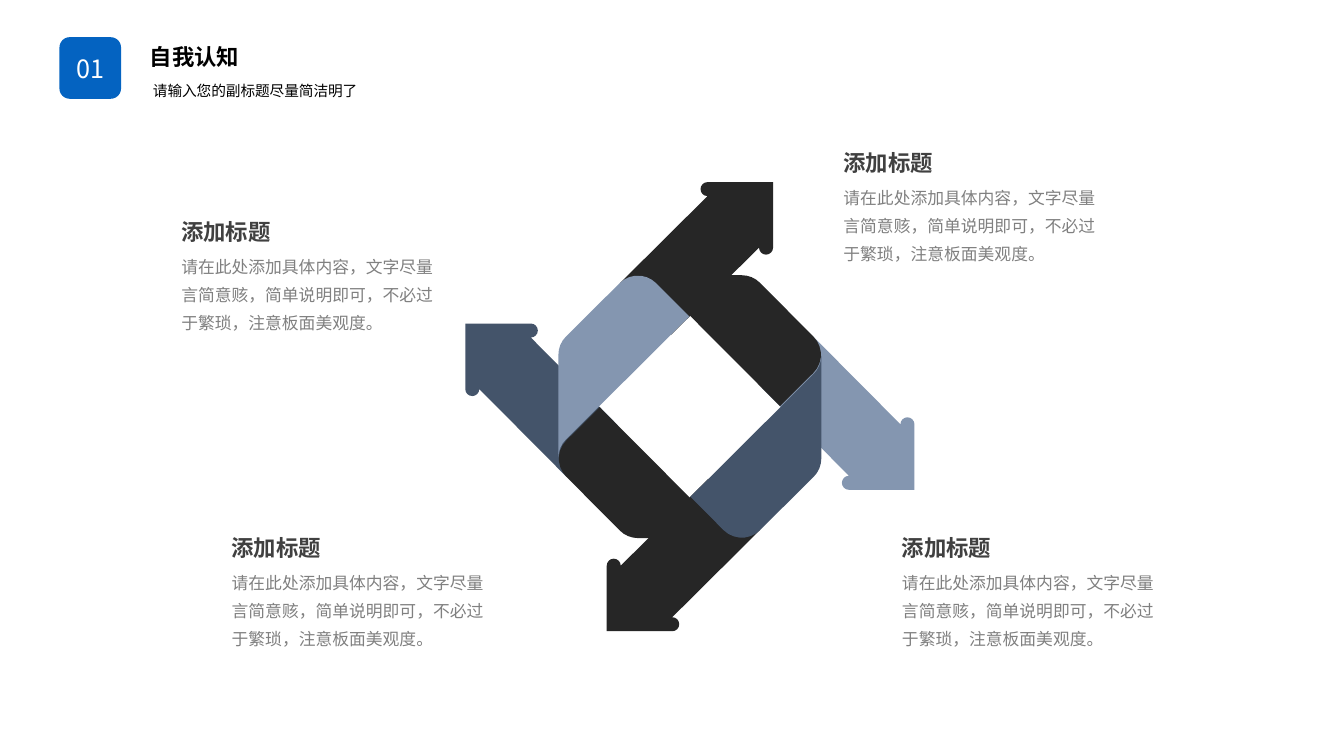
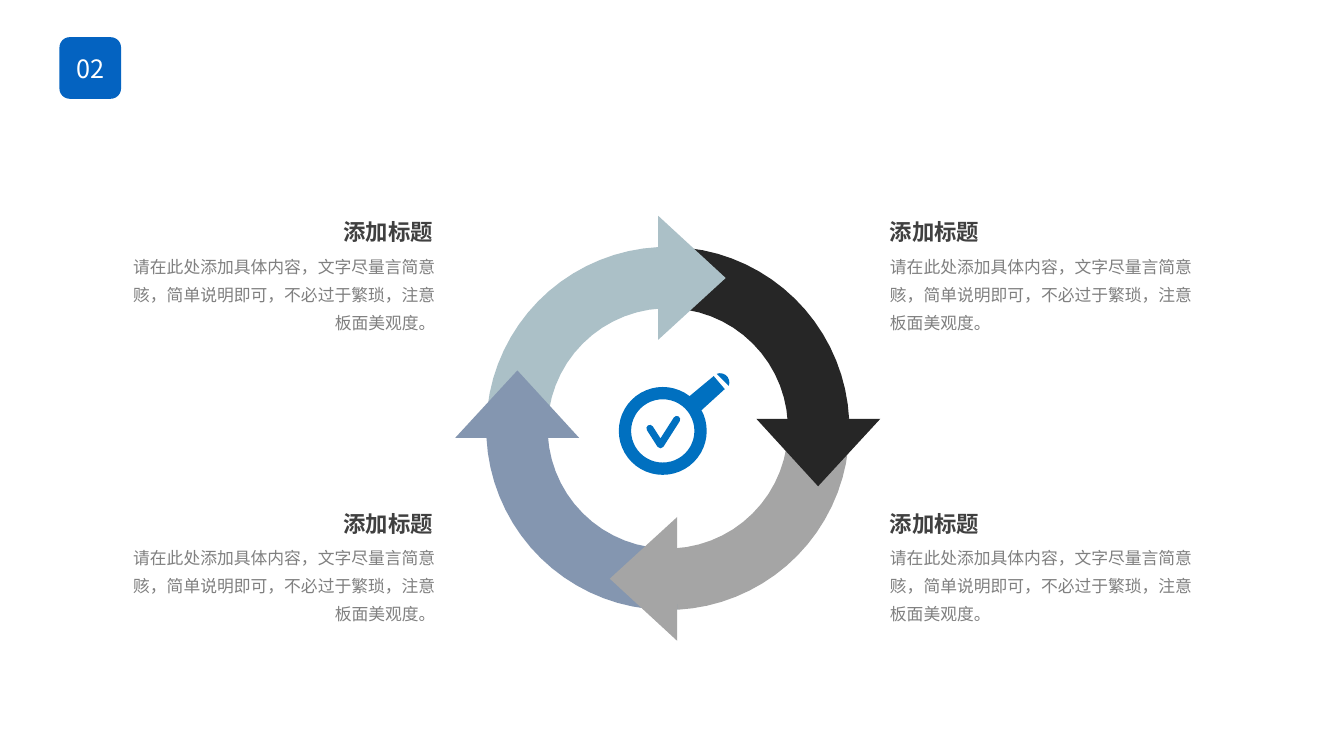
from dataclasses import dataclass
from math import acos, ceil, cos, radians, sin

from lxml.etree import SubElement
from pptx import Presentation
from pptx.dml.color import RGBColor
from pptx.enum.shapes import MSO_SHAPE as Preset
from pptx.enum.text import MSO_ANCHOR as Anchor
from pptx.enum.text import MSO_AUTO_SIZE as Auto
from pptx.enum.text import PP_ALIGN as Align
from pptx.oxml.ns import qn
from pptx.shapes.base import BaseShape
from pptx.slide import Slide
from pptx.util import Pt

Point = tuple[float, float]

WHITE = RGBColor(0xFF, 0xFF, 0xFF)
BLACK = RGBColor(0x00, 0x00, 0x00)
BLUE = RGBColor(0x04, 0x63, 0xC1)
AZURE = RGBColor(0x00, 0x70, 0xC0)
SLATE = RGBColor(0x44, 0x54, 0x6A)
STEEL = RGBColor(0x84, 0x96, 0xB0)
MIST = RGBColor(0xAB, 0xC0, 0xC7)
COAL = RGBColor(0x26, 0x26, 0x26)
SILVER = RGBColor(0xA5, 0xA5, 0xA5)
DARK = RGBColor(0x40, 0x40, 0x40)
GRAY = RGBColor(0x80, 0x80, 0x80)

FACE = "Noto Sans CJK SC"
HEAD = "添加标题"
BODY = "请在此处添加具体内容，文字尽量言简意赅，简单说明即可，不必过于繁琐，注意板面美观度。"


@dataclass(frozen=True)
class Style:
    size: float
    color: RGBColor
    bold: bool = False
    space: float | Pt | None = None


@dataclass(frozen=True)
class Note:
    left: float
    top: float
    width: float
    span: float
    align: Align = Align.LEFT


BADGE = Style(18, WHITE)
TITLE = Style(16, BLACK, True, 1.2)
SUB = Style(10.5, BLACK, space=1.2)
LABEL = Style(16, DARK, True)
TEXT = Style(12, GRAY, space=Pt(20))


def write(shape: BaseShape, text: str, style: Style, align: Align, frame: dict) -> None:
    for name, value in frame.items():
        setattr(shape.text_frame, name, value)
    para = shape.text_frame.paragraphs[0]
    for name, value in {"alignment": align, "line_spacing": style.space}.items():
        setattr(para, name, value)
    run = para.add_run()
    run.text = text
    looks = {"size": Pt(style.size), "bold": style.bold, "name": FACE}
    for name, value in looks.items():
        setattr(run.font, name, value)
    run.font.color.rgb = style.color
    SubElement(run.font._element, qn("a:ea"), typeface=FACE)


def label(slide: Slide, box: tuple, text: str, style: Style,
          align: Align = Align.LEFT) -> None:
    shape = slide.shapes.add_textbox(*map(Pt, box))
    frame = {"word_wrap": True, "auto_size": Auto.SHAPE_TO_FIT_TEXT}
    write(shape, text, style, align, frame)


def paint(shape: BaseShape, color: RGBColor) -> None:
    shape.shadow.inherit = False
    shape.fill.solid()
    shape.fill.fore_color.rgb = color
    shape.line.fill.background()


def trace(slide: Slide, points: list[Point], close: bool = True) -> BaseShape:
    spots = [(Pt(x), Pt(y)) for x, y in points]
    pen = slide.shapes.build_freeform(*spots[0])
    pen.add_line_segments(spots[1:], close=close)
    return pen.convert_to_shape()


def arc(x: float, y: float, radius: float, start: float, end: float) -> list[Point]:
    """Points along an arc, within 0.12 pt; degrees, clockwise from the right."""
    first, sweep = radians(start), radians(end - start)
    steps = ceil(abs(sweep) / (2 * acos(1 - 0.12 / radius)))
    turns = [first + sweep * i / steps for i in range(steps + 1)]
    return [(x + radius * cos(t), y + radius * sin(t)) for t in turns]


def whirl(slide: Slide, hub: Point, points: list[Point],
          colors: tuple[RGBColor, ...]) -> None:
    """Draw an outline given around the hub, a quarter turn on for each colour."""
    for color in colors:
        paint(trace(slide, [(hub[0] + x, hub[1] + y) for x, y in points]), color)
        points = [(-y, x) for x, y in points]


def badge(slide: Slide, text: str) -> None:
    shape = slide.shapes.add_shape(Preset.ROUNDED_RECTANGLE, *map(Pt, (42.5, 26.6, 44, 44)))
    paint(shape, BLUE)
    frame = {"word_wrap": False, "vertical_anchor": Anchor.MIDDLE}
    write(shape, text, BADGE, Align.CENTER, frame)


def tell(slide: Slide, note: Note) -> None:
    left = note.left
    if note.align == Align.RIGHT:
        left += note.width - note.span - 2
    label(slide, (note.left, note.top + 21.6, note.width, 65), BODY, TEXT, note.align)
    label(slide, (left, note.top, note.span, 26.6), HEAD, LABEL, note.align)


def weave(slide: Slide) -> None:
    """Four arrows under four folded ribbons."""
    hub = (492.8, 290.5)
    arrow = [*arc(-113.6, -54.4, 5, -90, 90), (-51.5, 13.3), (-88.2, 50),
             *arc(-155.4, -12.6, 5, 0, 180), (-160.4, -59.4)]
    fold = [*arc(-37.1, -75.2, 18.4, -45, -135), *arc(-75.4, -37, 18.5, 225, 180),
            *arc(-75.4, 36.4, 18.5, 180, 225), (-0.4, -64.4)]
    whirl(slide, hub, arrow, (SLATE, COAL, STEEL, COAL))
    whirl(slide, hub, fold, (STEEL, COAL, SLATE, COAL))


def cycle(slide: Slide) -> None:
    """A ring of four bands with an arrowhead at the end of each."""
    hub = (477, 306)
    colors = (MIST, COAL, SILVER, STEEL)
    band = arc(0, 0, 129.7, -183, -93) + arc(0, 0, 85.8, -93, -183)
    whirl(slide, hub, band, colors)
    whirl(slide, hub, [(41.4, -107.4), (-6.8, -151.8), (-6.8, -63.3)], colors)


def lens(slide: Slide) -> None:
    """A magnifier with a check mark inside."""
    ring = slide.shapes.add_shape(Preset.DONUT, *map(Pt, (442, 276.4, 62.8, 62.8)))
    ring.adjustments[0] = 0.14
    grip = [(509.8, 268.6), (517.7, 277.9), (501.1, 293), (492.5, 283)]
    for shape in (ring, trace(slide, grip), trace(slide, arc(514.4, 273.2, 6.6, -112, 22))):
        paint(shape, AZURE)
    tick = trace(slide, [(464.2, 306), (471.8, 317.8), (483.4, 299.6)], close=False)
    tick.shadow.inherit = False
    tick.fill.background()
    tick.line.color.rgb = AZURE
    tick.line.width = Pt(5)
    line = tick.line._get_or_add_ln()
    line.set("cap", "rnd")
    SubElement(line, qn("a:round"))


def main() -> None:
    deck = Presentation()
    deck.slide_width, deck.slide_height = Pt(960), Pt(540)
    blank = deck.slide_layouts[6]
    first, second = (deck.slides.add_slide(blank) for _ in range(2))

    weave(first)
    for left, top in ((595.4, 103), (637.2, 378), (158.4, 378), (122.4, 152.6)):
        tell(first, Note(left, top, 203, 90.7))
    badge(first, "01")
    label(first, (102.2, 52.6, 209.5, 21.6), "请输入您的副标题尽量简洁明了", SUB)
    label(first, (100, 23.8, 105, 28.8), "自我认知", TITLE)

    cycle(second)
    lens(second)
    for left, align in ((628.6, Align.LEFT), (77, Align.RIGHT)):
        for top in (152.6, 360.7):
            tell(second, Note(left, top, 241.2, 108, align))
    badge(second, "02")

    deck.save("out.pptx")


if __name__ == "__main__":
    main()
